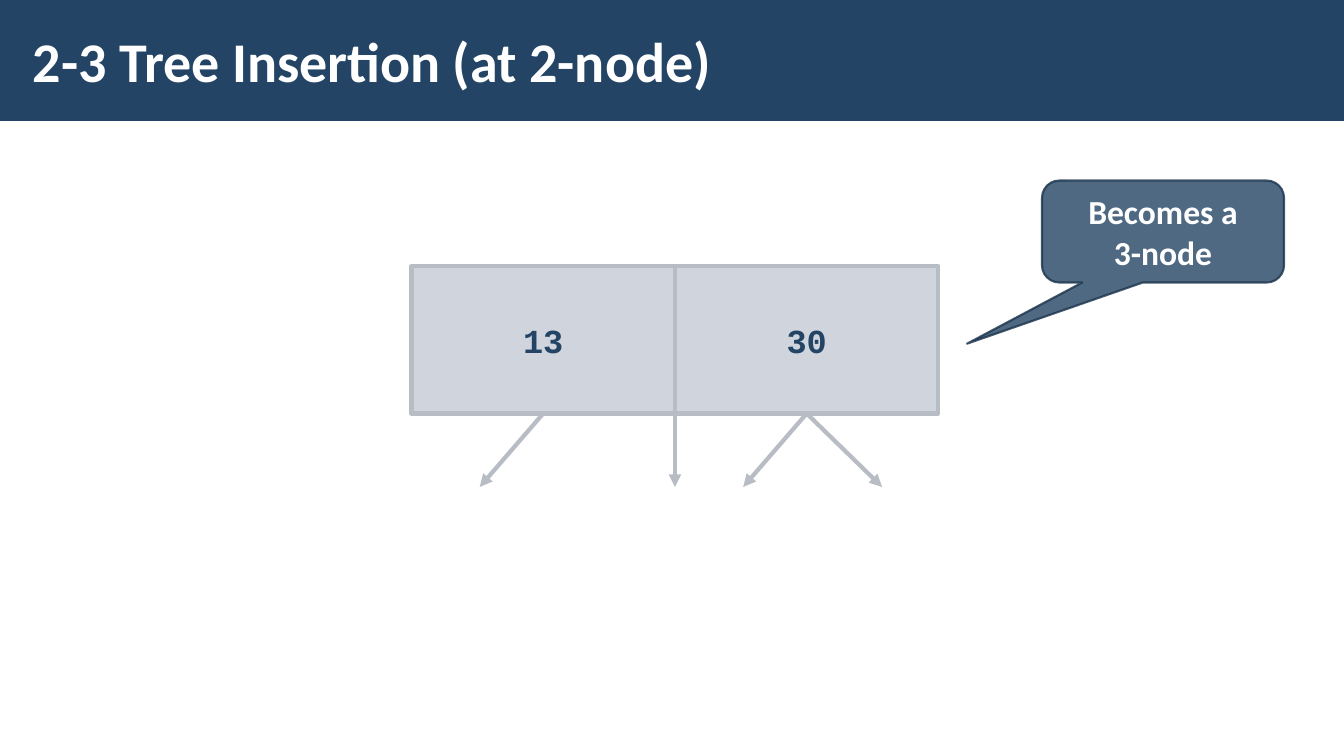
from pptx import Presentation
from pptx.dml.color import RGBColor
from pptx.enum.shapes import MSO_CONNECTOR, MSO_SHAPE
from pptx.enum.text import MSO_ANCHOR, PP_ALIGN
from pptx.oxml.ns import qn
from pptx.util import Cm, Pt
from lxml.etree import SubElement

NAVY = RGBColor(0x23, 0x44, 0x65)
DARK_NAVY = RGBColor(0x1A, 0x33, 0x4B)
NODE_FILL = RGBColor(0xA1, 0xAA, 0xBC)
NODE_LINE = RGBColor(0xB8, 0xBC, 0xC4)
WHITE = RGBColor(0xFF, 0xFF, 0xFF)

BOTTOM_SIDE = 2


def set_opacity(fill, percent):
    """Make a solid fill, of a shape or a line, partly transparent."""
    color = fill._xPr.find(qn("a:solidFill"))[0]
    SubElement(color, qn("a:alpha"), val=str(percent * 1000))


def write_text(shape, text, font_name, size, color, align):
    frame = shape.text_frame
    frame.word_wrap = True
    frame.vertical_anchor = MSO_ANCHOR.MIDDLE
    frame.text = text
    paragraph = frame.paragraphs[0]
    paragraph.alignment = align
    for run in paragraph.runs:
        run.font.name = font_name
        run.font.size = Pt(size)
        run.font.bold = True
        run.font.color.rgb = color


def add_filled(slide, preset, box, fill, opacity=100):
    shape = slide.shapes.add_shape(preset, *box)
    shape.shadow.inherit = False
    shape.fill.solid()
    shape.fill.fore_color.rgb = fill
    if opacity < 100:
        set_opacity(shape.fill, opacity)
    return shape


def add_header(slide, left, top, width, height, title):
    band = add_filled(slide, MSO_SHAPE.RECTANGLE, (left, top, width, height), NAVY)
    band.line.fill.background()
    heading = slide.shapes.add_textbox(left + Cm(0.53), top + Cm(0.28), Cm(26.42), Cm(2.46))
    write_text(heading, title, "Calibri", 40, WHITE, PP_ALIGN.LEFT)
    frame = heading.text_frame
    frame.margin_left = frame.margin_right = Cm(0.3)
    frame.margin_top = frame.margin_bottom = Cm(0.1)


def add_child_arrow(slide, x, y, shift, drop, key_cell=None):
    arrow = slide.shapes.add_connector(MSO_CONNECTOR.STRAIGHT, x, y, x + shift, y + drop)
    if key_cell is not None:
        arrow.begin_connect(key_cell, BOTTOM_SIDE)
    arrow.line.color.rgb = NODE_LINE
    arrow.line.width = Pt(3)
    SubElement(arrow.line._get_or_add_ln(), qn("a:tailEnd"), type="triangle")
    SubElement(arrow._element.spPr, qn("a:effectLst"))


def add_tree_node(slide, left, top, width, height, keys):
    """Draw the keys side by side, with arrows down to the children."""
    key_width = width // len(keys)
    cells = []
    for i, key in enumerate(keys):
        box = (left + i * key_width, top, key_width, height)
        cell = add_filled(slide, MSO_SHAPE.RECTANGLE, box, NODE_FILL, 50)
        cell.line.color.rgb = NODE_LINE
        cell.line.width = Pt(3)
        write_text(cell, key, "Courier New", 24, NAVY, PP_ALIGN.CENTER)
        cells.append(cell)

    bottom, drop = top + height, Cm(1.85)
    first, last = cells
    for cell, shift in ((first, Cm(-1.6)), (last, Cm(-1.6)), (last, Cm(1.9))):
        add_child_arrow(slide, cell.left + key_width // 2, bottom, shift, drop, cell)
    add_child_arrow(slide, last.left, bottom, 0, drop)


def add_callout(slide, left, top, width, height, text):
    box = (left, top, width, height)
    callout = add_filled(slide, MSO_SHAPE.ROUNDED_RECTANGULAR_CALLOUT, box, NAVY, 80)
    for i, value in enumerate((-0.81, 1.1, 0.17)):
        callout.adjustments[i] = value
    callout.line.color.rgb = DARK_NAVY
    callout.line.width = Pt(1.5)
    set_opacity(callout.line.fill, 80)
    write_text(callout, text, "Calibri", 24, WHITE, PP_ALIGN.CENTER)


def main():
    presentation = Presentation()
    presentation.slide_width = Cm(33.87)
    presentation.slide_height = Cm(19.05)
    slide = presentation.slides.add_slide(presentation.slide_layouts[6])
    add_header(slide, 0, 0, presentation.slide_width, Cm(3.05),
               "2-3 Tree Insertion (at 2-node)")
    add_tree_node(slide, Cm(10.37), Cm(6.71), Cm(13.28), Cm(3.71), ("13", "30"))
    add_callout(slide, Cm(26.26), Cm(4.55), Cm(6.1), Cm(2.57), "Becomes a\v3-node")
    presentation.save("out.pptx")


if __name__ == "__main__":
    main()
